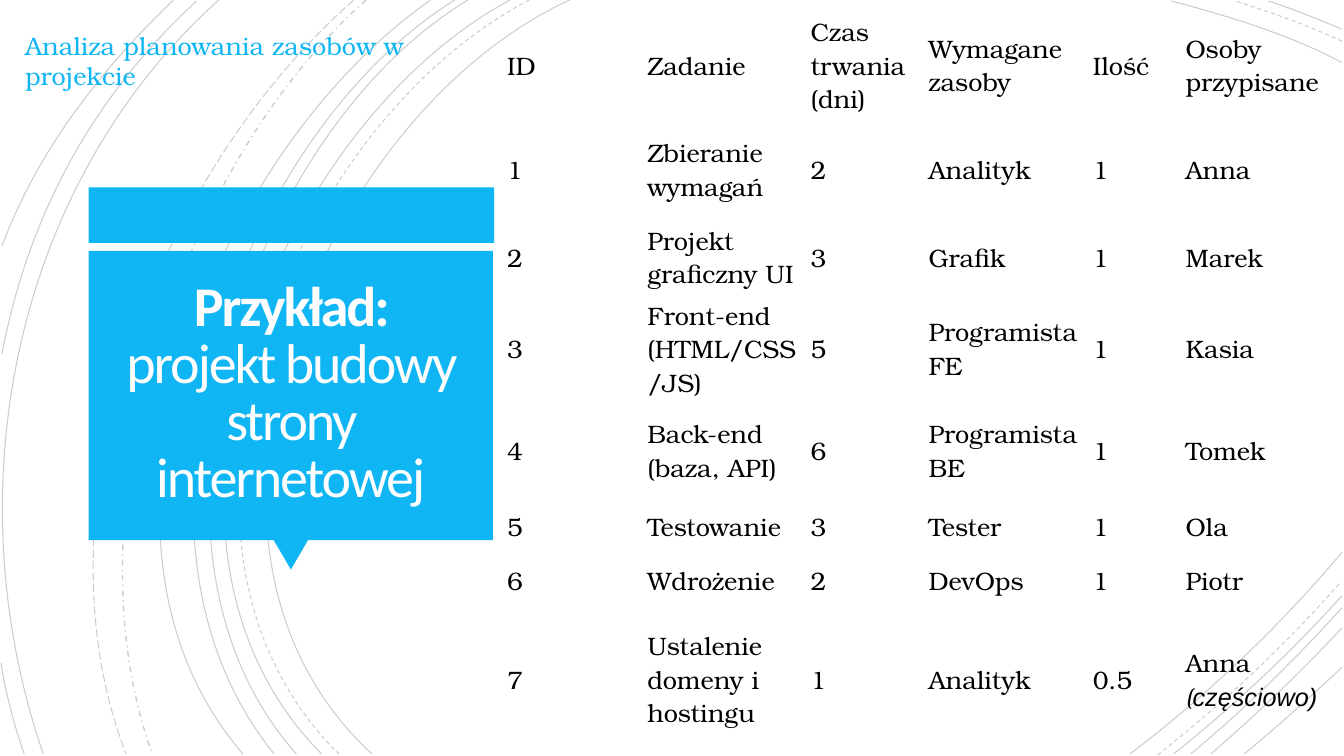
from dataclasses import dataclass

from lxml import etree
from pptx import Presentation
from pptx import util as u
from pptx.dml.color import RGBColor
from pptx.enum import dml, shapes, text
from pptx.oxml.ns import qn

PX = 9144
NO_GRID_STYLE = "{2D5ABB26-0587-4C30-8999-92F81FD0307C}"


@dataclass(frozen=True)
class Theme:
    accent: RGBColor = RGBColor(0x10, 0xB6, 0xF4)
    title: RGBColor = RGBColor(0xFF, 0xFE, 0xFF)
    ink: RGBColor = RGBColor(0, 0, 0)
    title_font: str = "Calibri"
    body_font: str = "TeX Gyre Bonum"
    note_font: str = "Arial"
    title_size: int = 40
    body_size: int = 18
    curve_alpha: int = 20000


@dataclass(frozen=True)
class Box:
    left: int
    top: int
    width: int
    height: int

    def emu(self) -> tuple:
        return self.left * PX, self.top * PX, self.width * PX, self.height * PX


@dataclass(frozen=True)
class Curve:
    start: tuple
    control_1: tuple
    control_2: tuple
    end: tuple
    dash: dml.MSO_LINE = dml.MSO_LINE.SOLID
    weight: float = 0.75


@dataclass(frozen=True)
class Panel:
    kind: shapes.MSO_SHAPE
    box: Box
    rotation: int = 0


THEME = Theme()
DASH = dml.MSO_LINE.DASH

CURVES = [
    Curve((565, 0), (315, 115), (143, 540), (369, 748)),
    Curve((1331, 62), (1278, 34), (1218, 16), (1162, 1)),
    Curve((1121, 748), (1197, 690), (1269, 622), (1331, 548)),
    Curve((525, 0), (285, 125), (123, 537), (336, 748), DASH),
    Curve((1331, 41), (1297, 25), (1260, 12), (1225, 1), DASH),
    Curve((1148, 749), (1213, 698), (1275, 640), (1330, 577), DASH),
    Curve((506, 0), (270, 127), (110, 537), (319, 748)),
    Curve((1331, 29), (1307, 19), (1283, 9), (1258, 1)),
    Curve((1164, 748), (1223, 701), (1280, 648), (1331, 591)),
    Curve((464, 0), (244, 133), (110, 541), (294, 748)),
    Curve((1181, 748), (1234, 704), (1284, 655), (1331, 603)),
    Curve((451, 0), (231, 138), (97, 533), (272, 748)),
    Curve((1201, 748), (1246, 709), (1290, 667), (1331, 623)),
    Curve((427, 0), (217, 147), (53, 529), (241, 748)),
    Curve((1234, 748), (1267, 721), (1299, 692), (1331, 662)),
    Curve((363, 0), (176, 166), (65, 509), (151, 748), dml.MSO_LINE.DASH_DOT, 1),
    Curve((351, 0), (157, 169), (29, 499), (125, 748), dml.MSO_LINE.LONG_DASH),
    Curve((217, 0), (11, 185), (-46, 490), (43, 748)),
    Curve((195, 1), (92, 96), (28, 214), (2, 351)),
    Curve((1, 658), (6, 689), (14, 719), (24, 748)),
    Curve((172, 0), (100, 69), (37, 150), (2, 244)),
]

PANELS = [
    Panel(shapes.MSO_SHAPE.RECTANGLE, Box(88, 186, 402, 55)),
    Panel(shapes.MSO_SHAPE.ISOSCELES_TRIANGLE, Box(271, 535, 35, 30), 180),
    Panel(shapes.MSO_SHAPE.RECTANGLE, Box(88, 249, 401, 287)),
]

COLUMN_WIDTHS = [139, 162, 117, 163, 92, 164]
ROW_HEIGHTS = [109, 98, 76, 105, 98, 53, 53, 144]
TASKS = [
    ("ID", "Zadanie", "Czas trwania (dni)", "Wymagane zasoby", "Ilość", "Osoby przypisane"),
    ("1", "Zbieranie wymagań", "2", "Analityk", "1", "Anna"),
    ("2", "Projekt graficzny UI", "3", "Grafik", "1", "Marek"),
    ("3", "Front-end (HTML/CSS/JS)", "5", "Programista FE", "1", "Kasia"),
    ("4", "Back-end (baza, API)", "6", "Programista BE", "1", "Tomek"),
    ("5", "Testowanie", "3", "Tester", "1", "Ola"),
    ("6", "Wdrożenie", "2", "DevOps", "1", "Piotr"),
    ("7", "Ustalenie domeny i hostingu", "1", "Analityk", "0.5", "Anna "),
]


def style_run(run, font: str, size: int, color: RGBColor) -> None:
    run.font.name = font
    run.font.size = u.Pt(size)
    run.font.color.rgb = color


def set_margins(target, horizontal: int, vertical: int) -> None:
    target.margin_left = target.margin_right = horizontal * PX
    target.margin_top = target.margin_bottom = vertical * PX


def draw_curve(slide, curve: Curve) -> None:
    builder = slide.shapes.build_freeform(*curve.start, scale=PX)
    builder.add_line_segments([curve.control_1, curve.control_2, curve.end], close=False)
    shape = builder.convert_to_shape()
    outline = shape._element.find(f".//{qn('a:path')}")
    segments = outline.findall(qn("a:lnTo"))
    bezier = etree.SubElement(outline, qn("a:cubicBezTo"))
    for segment in segments:
        bezier.append(segment[0])
        outline.remove(segment)
    shape.shadow.inherit = False
    shape.fill.background()
    shape.line.color.rgb = THEME.ink
    shape.line.width = u.Pt(curve.weight)
    shape.line.dash_style = curve.dash
    color = shape.line._get_or_add_ln().find(f".//{qn('a:srgbClr')}")
    etree.SubElement(color, qn("a:alpha"), val=str(THEME.curve_alpha))


def draw_panel(slide, panel: Panel) -> None:
    shape = slide.shapes.add_shape(panel.kind, *panel.box.emu())
    shape.rotation = panel.rotation
    shape.shadow.inherit = False
    shape.fill.solid()
    shape.fill.fore_color.rgb = THEME.accent
    shape.line.fill.background()


def draw_title(slide, box: Box) -> None:
    frame = slide.shapes.add_textbox(*box.emu()).text_frame
    frame.word_wrap = True
    frame.vertical_anchor = text.MSO_ANCHOR.MIDDLE
    set_margins(frame, 25, 25)
    frame.text = "Przykład: "
    paragraph = frame.paragraphs[0]
    paragraph.alignment = text.PP_ALIGN.CENTER
    paragraph.line_spacing = 0.85
    paragraph.add_run().text = "projekt budowy strony internetowej"
    for run, bold in zip(paragraph.runs, (True, False)):
        style_run(run, THEME.title_font, THEME.title_size, THEME.title)
        run.font.bold = bold
        run._r.get_or_add_rPr().set("spc", "-150")


def draw_tasks(slide, box: Box) -> None:
    table = slide.shapes.add_table(len(TASKS), len(COLUMN_WIDTHS), *box.emu()).table
    table.first_row = table.horz_banding = False
    table._tbl.tblPr.find(qn("a:tableStyleId")).text = NO_GRID_STYLE
    for column, width in zip(table.columns, COLUMN_WIDTHS):
        column.width = width * PX
    for row, height, values in zip(table.rows, ROW_HEIGHTS, TASKS):
        row.height = height * PX
        for cell, value in zip(row.cells, values):
            cell.fill.background()
            cell.vertical_anchor = text.MSO_ANCHOR.MIDDLE
            set_margins(cell, 6, 3)
            cell.text_frame.text = value
            style_run(cell.text_frame.paragraphs[0].runs[0],
                      THEME.body_font, THEME.body_size, THEME.ink)
    last_person = table.cell(len(TASKS) - 1, len(COLUMN_WIDTHS) - 1)
    for note, font in (("(", THEME.body_font), ("częściowo)", THEME.note_font)):
        run = last_person.text_frame.paragraphs[0].add_run()
        run.text = note
        style_run(run, font, THEME.body_size, THEME.ink)
        run.font.italic = True


def draw_heading(slide, box: Box) -> None:
    frame = slide.shapes.add_textbox(*box.emu()).text_frame
    frame.word_wrap = True
    frame.text = "Analiza planowania zasobów w projekcie"
    style_run(frame.paragraphs[0].runs[0], THEME.body_font, THEME.body_size, THEME.accent)


def main() -> None:
    presentation = Presentation()
    presentation.slide_width, presentation.slide_height = 1333 * PX, 750 * PX
    slide = presentation.slides.add_slide(presentation.slide_layouts[6])
    for curve in CURVES:
        draw_curve(slide, curve)
    for panel in PANELS:
        draw_panel(slide, panel)
    draw_title(slide, Box(97, 257, 383, 269))
    draw_tasks(slide, Box(497, 10, sum(COLUMN_WIDTHS), sum(ROW_HEIGHTS)))
    draw_heading(slide, Box(15, 25, 491, 40))
    presentation.save("out.pptx")


if __name__ == "__main__":
    main()
